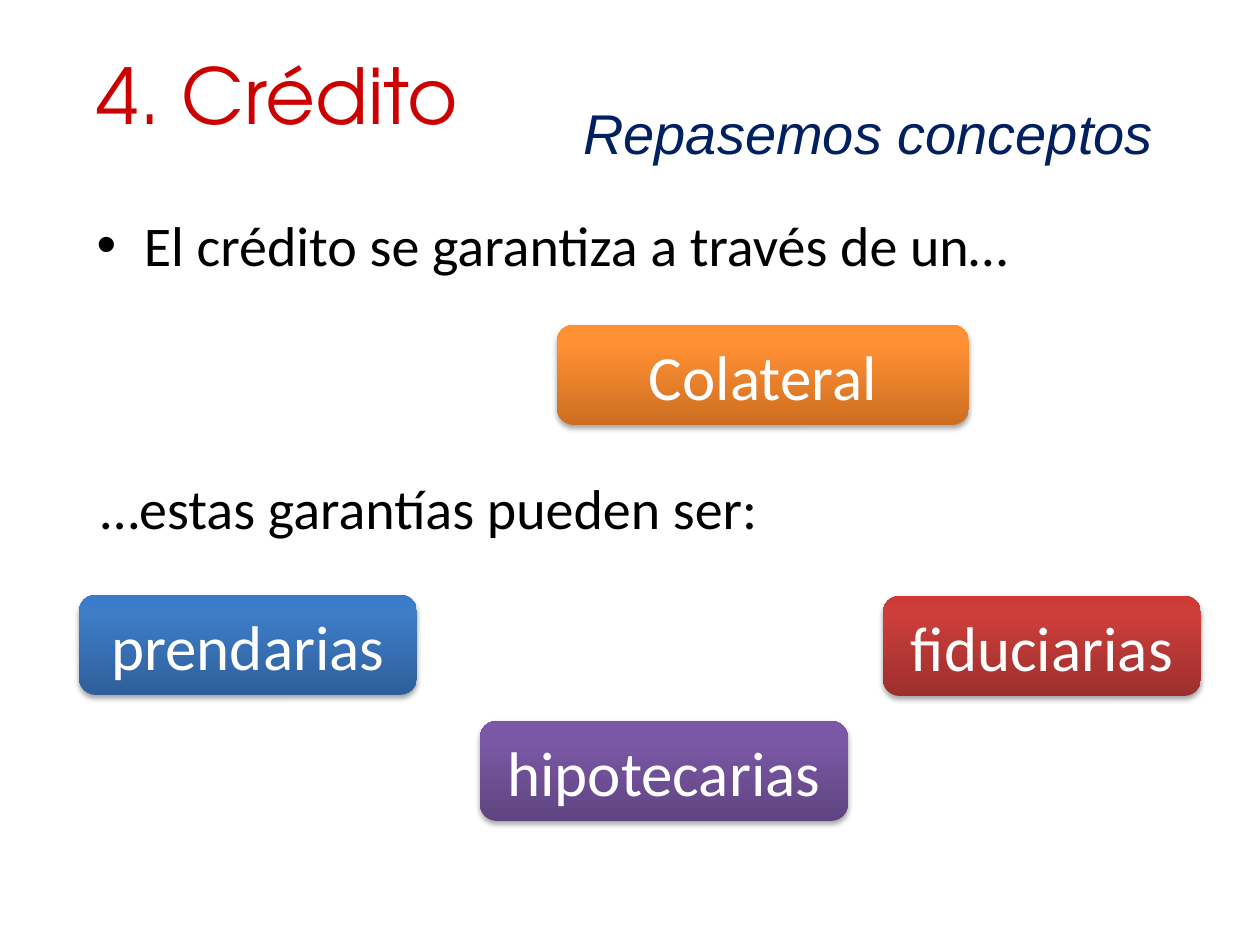
"""Build the slide on credit, its collateral and the three kinds of guarantee."""
from dataclasses import dataclass

from lxml import etree
from pptx import Presentation
from pptx import util as u
from pptx.dml.color import RGBColor
from pptx.enum import shapes, text
from pptx.oxml import ns

EMU_PER_PX = 914400 / 126


@dataclass(frozen=True)
class Theme:
    title_color: str = "CC0000"
    subtitle_color: str = "002060"
    body_color: str = "000000"
    button_color: str = "FFFFFF"
    shadow_color: str = "000000"
    title_font: str = "TeX Gyre Adventor"
    subtitle_font: str = "Arial"
    body_font: str = "Calibri"
    title_size: int = 44
    button_size: int = 36
    body_size: int = 32


@dataclass(frozen=True)
class Box:
    left: int
    top: int
    width: int
    height: int


@dataclass(frozen=True)
class Button:
    label: str
    box: Box
    stops: tuple[str, str, str]


THEME = Theme()
BUTTON_HEIGHT = 100
STOP_POSITIONS = (0, 80, 100)
BODY_FORMAT = {"name": THEME.body_font, "size": u.Pt(THEME.body_size)}

BUTTONS = (
    Button("Colateral", Box(557, 325, 412, BUTTON_HEIGHT), ("CC6E20", "FF9034", "FF9136")),
    Button("prendarias", Box(79, 595, 338, BUTTON_HEIGHT), ("2F5F99", "3D7CC7", "3A7CCB")),
    Button("hipotecarias", Box(480, 721, 368, BUTTON_HEIGHT), ("5F4480", "7B58A6", "7C57A8")),
    Button("fiduciarias", Box(883, 596, 318, BUTTON_HEIGHT), ("9C2F2D", "CB3E3A", "CE3B37")),
)


def px(length: int) -> int:
    """Turn pixels into EMU."""
    return round(length * EMU_PER_PX)


def place(shape, box: Box) -> None:
    """Move and size a shape."""
    for name in ("left", "top", "width", "height"):
        setattr(shape, name, px(getattr(box, name)))


def add_child(parent, tag: str, **attributes):
    """Append a DrawingML element."""
    return etree.SubElement(parent, ns.qn(f"a:{tag}"), attributes)


def write(shape, words: str, color: str, font: dict, align, anchor, bulleted: bool = True) -> None:
    """Fill a shape with one formatted paragraph."""
    frame = shape.text_frame
    frame_format = {"text": words, "word_wrap": True, "vertical_anchor": anchor,
                    "auto_size": text.MSO_AUTO_SIZE.NONE}
    for name, value in frame_format.items():
        setattr(frame, name, value)
    paragraph = frame.paragraphs[0]
    paragraph.alignment = align
    paragraph.space_before = u.Pt(0)
    if not bulleted:
        properties = paragraph._p.get_or_add_pPr()
        properties.set("marL", "0")
        properties.set("indent", "0")
        add_child(properties, "buNone")
    run_font = paragraph.runs[0].font
    for name, value in font.items():
        setattr(run_font, name, value)
    run_font.color.rgb = RGBColor.from_string(color)


def add_gradient(shape, colors: tuple[str, str, str]) -> None:
    """Fill a shape with a gradient that rises from the bottom edge."""
    shape.fill.gradient()
    gradient = shape._element.spPr.find(ns.qn("a:gradFill"))
    for child in list(gradient):
        gradient.remove(child)
    stops = add_child(gradient, "gsLst")
    for position, color in zip(STOP_POSITIONS, colors):
        stop = add_child(stops, "gs", pos=str(position * 1000))
        add_child(stop, "srgbClr", val=color)
    add_child(gradient, "lin", ang=str(270 * 60000), scaled="0")


def add_shadow(shape) -> None:
    """Give a shape a soft shadow below it."""
    shape.shadow.inherit = False
    effects = shape._element.spPr.find(ns.qn("a:effectLst"))
    shadow = add_child(effects, "outerShdw", blurRad=str(u.Pt(3.1)), dist=str(u.Pt(1.8)),
                       dir=str(90 * 60000), rotWithShape="0")
    color = add_child(shadow, "srgbClr", val=THEME.shadow_color)
    add_child(color, "alpha", val="35000")


def add_button(slide, button: Button) -> None:
    """Draw one rounded, shaded button."""
    shape = slide.shapes.add_shape(shapes.MSO_SHAPE.ROUNDED_RECTANGLE, 0, 0, 0, 0)
    place(shape, button.box)
    add_gradient(shape, button.stops)
    shape.line.fill.background()
    add_shadow(shape)
    write(shape, button.label, THEME.button_color,
          {"name": THEME.body_font, "size": u.Pt(THEME.button_size)},
          text.PP_ALIGN.CENTER, text.MSO_ANCHOR.MIDDLE)


def main() -> None:
    """Build and save the presentation."""
    presentation = Presentation()
    presentation.slide_width, presentation.slide_height = u.Inches(10), u.Inches(7.5)
    slide = presentation.slides.add_slide(presentation.slide_layouts.get_by_name("Two Content"))
    title, credit, guarantees = slide.placeholders

    place(title, Box(84, 15, 1134, 158))
    write(title, "4. Crédito", THEME.title_color,
          {"name": THEME.title_font, "size": u.Pt(THEME.title_size)},
          text.PP_ALIGN.LEFT, text.MSO_ANCHOR.MIDDLE)

    subtitle = slide.shapes.add_textbox(0, 0, 0, 0)
    place(subtitle, Box(441, 96, 725, 73))
    write(subtitle, "Repasemos conceptos", THEME.subtitle_color,
          {"name": THEME.subtitle_font, "size": u.Pt(THEME.body_size), "italic": True},
          text.PP_ALIGN.RIGHT, text.MSO_ANCHOR.MIDDLE)

    place(credit, Box(84, 204, 1134, 93))
    write(credit, "El crédito se garantiza a través de un…", THEME.body_color, BODY_FORMAT,
          text.PP_ALIGN.LEFT, text.MSO_ANCHOR.TOP)

    place(guarantees, Box(88, 467, 1134, 363))
    write(guarantees, "…estas garantías pueden ser:", THEME.body_color, BODY_FORMAT,
          text.PP_ALIGN.LEFT, text.MSO_ANCHOR.TOP, bulleted=False)

    for button in BUTTONS:
        add_button(slide, button)
    presentation.save("out.pptx")


if __name__ == "__main__":
    main()
